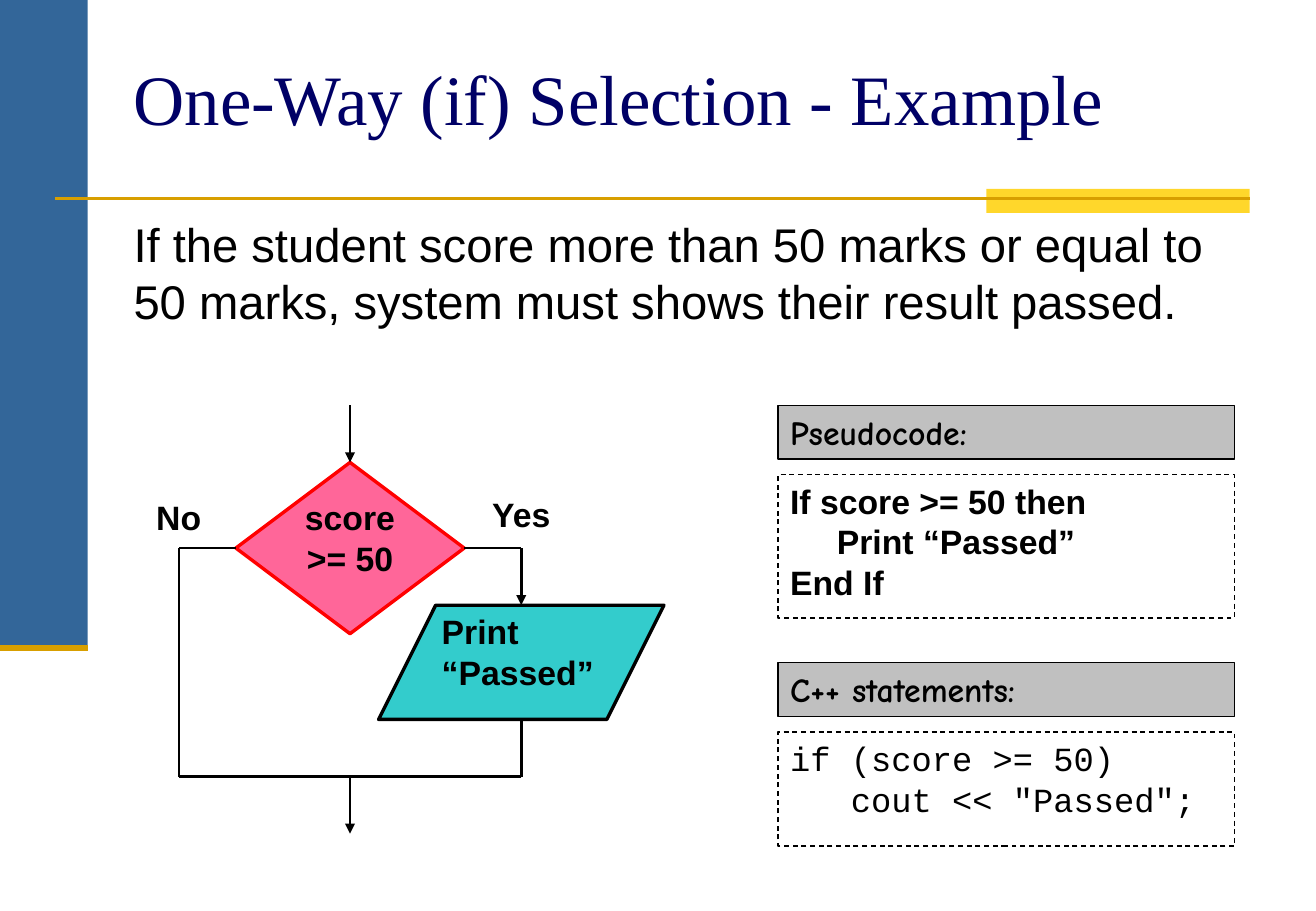
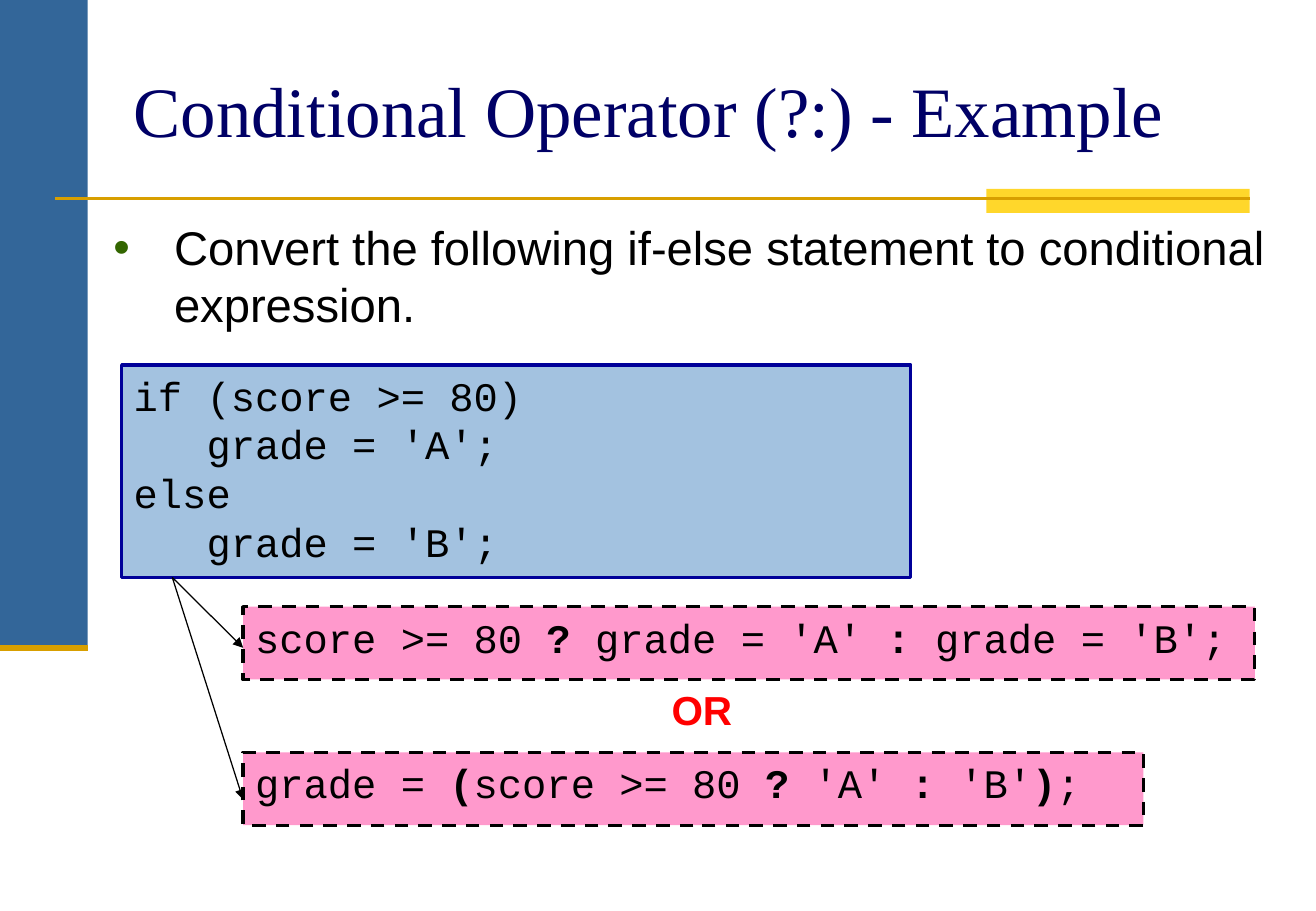
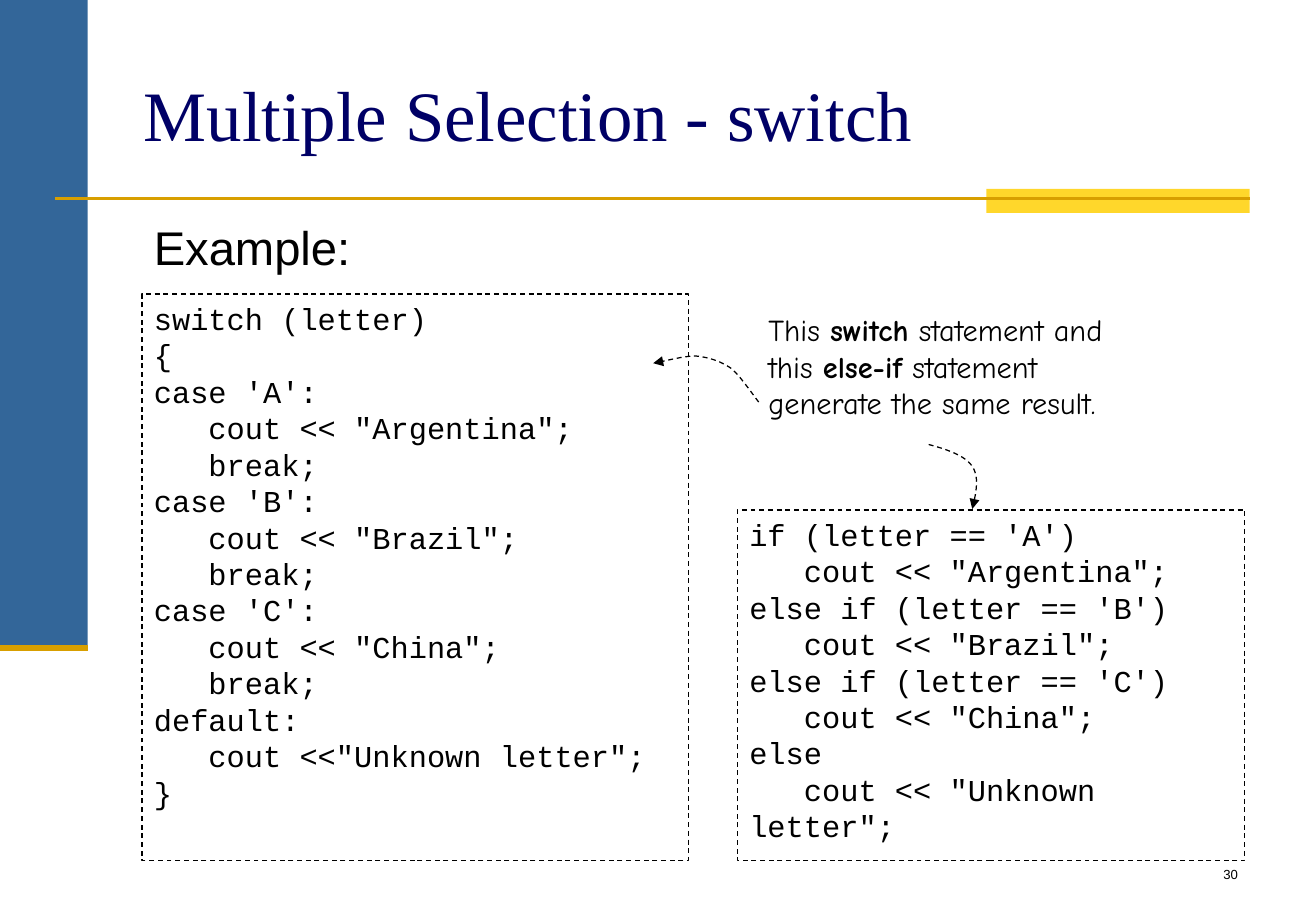
"""Build three slides about selection statements in C++."""
from dataclasses import dataclass
from typing import NamedTuple, Optional

from lxml.etree import SubElement
from pptx import Presentation
from pptx.dml.color import RGBColor
from pptx.enum.dml import MSO_LINE
from pptx.enum.shapes import MSO_CONNECTOR, MSO_SHAPE
from pptx.enum.text import MSO_ANCHOR, MSO_AUTO_SIZE, PP_ALIGN
from pptx.oxml.ns import qn
from pptx.util import Pt

BLACK, WHITE, RED = "000000", "FFFFFF", "FF0000"
BLUE, GOLD, YELLOW, NAVY = "336699", "D89F00", "FFD72B", "000066"
GRAY, ROSE, TEAL = "C0C0C0", "FF6699", "33CCCC"
SKY, DARK_BLUE, PINK, GREEN = "A3C2E0", "000099", "FF99CC", "336600"
SANS, SERIF, CODE, COMIC = "Arial", "Times New Roman", "Courier New", "Comic Neue"
LINE_FACTOR = 1.2
FLOW_LEFT, FLOW_TOP, FLOW_STEP = 72.2, 240.3, 33.85
BEZIER_STEPS = 12


class Box(NamedTuple):
    """Position and size in points."""
    left: float
    top: float
    width: float
    height: float


class Point(NamedTuple):
    """A place on the slide in points."""
    x: float
    y: float


@dataclass(frozen=True)
class Style:
    """Font and alignment of a text."""
    size: float
    font: str = SANS
    color: str = BLACK
    bold: bool = False
    align: PP_ALIGN = PP_ALIGN.LEFT


@dataclass(frozen=True)
class Outline:
    """Line colour, width and dash."""
    color: str = BLACK
    width: float = 0.75
    dashed: bool = False


@dataclass(frozen=True)
class Panel:
    """A filled shape that may hold text; bars in the text toggle bold."""
    box: Box
    fill: str
    outline: Optional[Outline] = None
    text: str = ""
    style: Style = Style(20)
    kind: MSO_SHAPE = MSO_SHAPE.RECTANGLE
    inset: Optional[float] = None


TITLE = Style(42, SERIF, NAVY)
BODY = Style(28)
LABEL = Style(20, bold=True, align=PP_ALIGN.CENTER)
STATEMENT = Style(20, bold=True)
HEADING = Style(20, COMIC, bold=True)
THIN, DASHED = Outline(), Outline(dashed=True)
FLOW, THICK_DASHED = Outline(width=1.5), Outline(width=2, dashed=True)

SWITCH_CODE = """switch (letter)
{
case 'A':
   cout << "Argentina";
   break;
case 'B':
   cout << "Brazil";
   break;
case 'C':
   cout << "China";
   break;
default:
   cout <<"Unknown letter";
}"""
ELSE_IF_CODE = """if (letter == 'A')
   cout << "Argentina";
else if (letter == 'B')
   cout << "Brazil";
else if (letter == 'C')
   cout << "China";
else
   cout << "Unknown letter";"""


def rgb(color: str) -> RGBColor:
    """Turn a hex string into a colour."""
    return RGBColor.from_string(color)


def place(shape, box: Box) -> None:
    """Move and size a shape."""
    shape.left, shape.top, shape.width, shape.height = map(Pt, box)


def add_run(paragraph, text: str, style: Style, bold: bool) -> None:
    """Add formatted text to a paragraph, breaking lines at vertical tabs."""
    for index, piece in enumerate(text.split("\v")):
        if index:
            paragraph.add_line_break()
        run = paragraph.add_run()
        run.text = piece
        run.font.name = style.font
        run.font.size = Pt(style.size)
        run.font.bold = bold
        run.font.color.rgb = rgb(style.color)


def write(text_frame, text: str, style: Style) -> None:
    """Write paragraphs and format their runs."""
    text_frame.word_wrap = True
    text_frame.auto_size = MSO_AUTO_SIZE.NONE
    text_frame.vertical_anchor = MSO_ANCHOR.TOP
    for index, line in enumerate(text.split("\n")):
        paragraph = text_frame.paragraphs[0] if index == 0 else text_frame.add_paragraph()
        paragraph.alignment = style.align
        paragraph.space_before = Pt(0)
        paragraph.line_spacing = Pt(LINE_FACTOR * style.size)
        for position, part in enumerate(line.split("|")):
            add_run(paragraph, part, style, style.bold or position % 2 == 1)


def draw_outline(line, outline: Outline) -> None:
    """Apply an outline to a line format."""
    line.color.rgb = rgb(outline.color)
    line.width = Pt(outline.width)
    if outline.dashed:
        line.dash_style = MSO_LINE.DASH


def add_arrowhead(line) -> None:
    """Put a triangle at the end of a line."""
    SubElement(line._get_or_add_ln(), qn("a:tailEnd"), type="triangle")


def add_panel(slide, panel: Panel):
    """Draw a panel and its text."""
    shape = slide.shapes.add_shape(panel.kind, *map(Pt, panel.box))
    shape.shadow.inherit = False
    shape.fill.solid()
    shape.fill.fore_color.rgb = rgb(panel.fill)
    if panel.outline:
        draw_outline(shape.line, panel.outline)
    else:
        shape.line.fill.background()
    if panel.text:
        frame = shape.text_frame
        if panel.inset is not None:
            frame.margin_left = frame.margin_right = Pt(panel.inset)
        write(frame, panel.text, panel.style)
    return shape


def add_label(slide, box: Box, text: str, style: Style) -> None:
    """Draw a text box."""
    write(slide.shapes.add_textbox(*map(Pt, box)).text_frame, text, style)


def add_line(slide, start: Point, end: Point, outline: Outline, arrow: bool = False):
    """Draw a straight line or arrow."""
    connector = slide.shapes.add_connector(MSO_CONNECTOR.STRAIGHT, *map(Pt, (*start, *end)))
    draw_outline(connector.line, outline)
    if arrow:
        add_arrowhead(connector.line)
    SubElement(connector._element.spPr, qn("a:effectLst"))
    return connector


def bezier(start: Point, first: Point, second: Point, end: Point) -> list[Point]:
    """Sample a cubic curve after its start."""
    points = []
    for step in range(1, BEZIER_STEPS + 1):
        t = step / BEZIER_STEPS
        weights = ((1 - t) ** 3, 3 * t * (1 - t) ** 2, 3 * t * t * (1 - t), t ** 3)
        corners = (start, first, second, end)
        points.append(Point(sum(w * c.x for w, c in zip(weights, corners)),
                            sum(w * c.y for w, c in zip(weights, corners))))
    return points


def add_curved_arrow(slide, knots: list[Point]) -> None:
    """Draw a dashed arrow through joined cubic curves."""
    points = []
    for index in range(0, len(knots) - 1, 3):
        points += bezier(*knots[index:index + 4])
    builder = slide.shapes.build_freeform(Pt(knots[0].x), Pt(knots[0].y))
    builder.add_line_segments([(Pt(x), Pt(y)) for x, y in points], close=False)
    shape = builder.convert_to_shape()
    shape.shadow.inherit = False
    shape.fill.background()
    draw_outline(shape.line, DASHED)
    add_arrowhead(shape.line)


def set_bullet(paragraph, indent: float = 0, color: str = "") -> None:
    """Give a paragraph a coloured bullet, or none."""
    properties = paragraph._p.get_or_add_pPr()
    properties.set("marL", str(Pt(indent)))
    properties.set("indent", str(-Pt(indent)))
    if color:
        SubElement(SubElement(properties, qn("a:buClr")), qn("a:srgbClr"), val=color)
        SubElement(properties, qn("a:buChar"), char="•")
    else:
        SubElement(properties, qn("a:buNone"))


def add_slide(presentation, title: str, title_box: Box, body: str, body_box: Box,
              indent: float = 0, bullet: str = ""):
    """Add a slide with its title and body text."""
    slide = presentation.slides.add_slide(presentation.slide_layouts[1])
    title_shape, body_shape = slide.placeholders
    place(title_shape, title_box)
    write(title_shape.text_frame, title, TITLE)
    place(body_shape, body_box)
    set_bullet(body_shape.text_frame.paragraphs[0], indent, bullet)
    write(body_shape.text_frame, body, BODY)
    return slide


def decorate_master(presentation, slide) -> None:
    """Draw the shared bands and move them to the slide master."""
    bands = (
        add_panel(slide, Panel(Box(0, 0, 52, 384), BLUE)),
        add_panel(slide, Panel(Box(585, 111.9, 156.2, 14.4), YELLOW)),
        add_line(slide, Point(32.5, 117.6), Point(741.2, 117.6), Outline(GOLD, 1.5)),
        add_line(slide, Point(0, 384.2), Point(52, 384.2), Outline(GOLD, 3.5)),
    )
    for number, band in enumerate(bands, start=101):
        band._element.xpath(".//p:cNvPr")[0].set("id", str(number))
        presentation.slide_master.shapes._spTree.append(band._element)


def flow_point(column: float, row: float) -> Point:
    """Find a place on the flowchart grid."""
    return Point(FLOW_LEFT + column * FLOW_STEP, FLOW_TOP + row * FLOW_STEP)


def flow_box(column: float, row: float, columns: float, rows: float) -> Box:
    """Find an area on the flowchart grid."""
    return Box(*flow_point(column, row), columns * FLOW_STEP, rows * FLOW_STEP)


def add_flowchart(slide) -> None:
    """Draw the one-way selection flowchart."""
    add_panel(slide, Panel(flow_box(2, 1, 4, 3), ROSE, Outline(RED, 2),
                           kind=MSO_SHAPE.FLOWCHART_DECISION))
    add_label(slide, flow_box(2, 1.5, 4, 2), "score\v>= 50", LABEL)
    lines = (
        ((2, 2.5), (1, 2.5), False),
        ((7, 2.5), (6, 2.5), False),
        ((7, 2.5), (7, 3.5), True),
        ((1, 2.5), (1, 6.5), False),
        ((7, 5.5), (7, 6.5), False),
        ((7, 6.5), (1, 6.5), False),
        ((4, 6.5), (4, 7.5), True),
        ((4, 0), (4, 1), True),
    )
    for start, end, arrow in lines:
        add_line(slide, flow_point(*start), flow_point(*end), FLOW, arrow)
    add_label(slide, flow_box(6, 1.45, 2, 0.9), "Yes", LABEL)
    add_label(slide, flow_box(0, 1.5, 2, 0.9), "No", LABEL)
    add_panel(slide, Panel(flow_box(4.5, 3.5, 5, 2), TEAL, Outline(width=2),
                           "Print\n“Passed”", STATEMENT,
                           MSO_SHAPE.FLOWCHART_DATA, inset=3.6))


def build_one_way(presentation) -> None:
    """Build the one-way selection slide."""
    slide = add_slide(presentation, "One-Way (if) Selection - Example",
                      Box(72, 28.8, 663, 90),
                      "If the student score more than 50 marks or equal to 50 marks, "
                      "system must shows their result passed.", Box(72, 124.2, 678, 90))
    decorate_master(presentation, slide)
    add_flowchart(slide)
    sections = (
        (240.4, 85, "Pseudocode:", "If score >= 50 then\n     Print “Passed”\nEnd If",
         STATEMENT),
        (392.9, 67.7, "C++ statements:",
         'if (score >= 50)\n   cout << "Passed";', Style(20, CODE)),
    )
    for top, height, heading, text, style in sections:
        add_panel(slide, Panel(Box(461.5, top, 270.7, 31.7), GRAY, THIN, heading, HEADING))
        add_panel(slide, Panel(Box(461.5, top + 41, 270.7, height), WHITE, DASHED, text, style))


def build_conditional(presentation) -> None:
    """Build the conditional operator slide."""
    slide = add_slide(presentation, "Conditional Operator (?:) - Example",
                      Box(72, 36, 663, 90),
                      "Convert the following if-else statement to conditional expression.",
                      Box(60, 126, 720, 84), 36, GREEN)
    code = Style(24, CODE)
    add_panel(slide, Panel(Box(72.2, 216.3, 468, 126), SKY, Outline(DARK_BLUE, 2),
                           "if (score >= 80)\n   grade = 'A';\nelse\n   grade = 'B';", code))
    expressions = (
        (359.6, 600, 384, "score >= 80 |?| grade = 'A' |:| grade = 'B';"),
        (446, 534, 474, "grade = |(|score >= 80 |?| 'A' |:| 'B'|)|;"),
    )
    for top, width, arrow_end, text in expressions:
        add_panel(slide, Panel(Box(144.2, top, width, 43.2), PINK, THICK_DASHED, text, code))
        add_line(slide, Point(102.2, 342.3), Point(144.2, arrow_end), THIN, arrow=True)
    add_label(slide, Box(391.2, 402.3, 57.6, 36), "OR", Style(24, color=RED, bold=True))


def build_switch(presentation) -> None:
    """Build the switch slide."""
    slide = add_slide(presentation, "Multiple Selection - switch", Box(78, 38.5, 663, 72),
                      "Example:", Box(84, 126, 654, 41))
    code = Style(18, CODE)
    add_panel(slide, Panel(Box(84.2, 174.3, 324, 336), WHITE, DASHED, SWITCH_CODE, code))
    add_panel(slide, Panel(Box(437.3, 302.3, 301, 208), WHITE, DASHED, ELSE_IF_CODE, code))
    add_label(slide, Box(448.6, 181, 235.5, 72),
              "This |switch| statement and this |else-if| statement "
              "generate the same result.", Style(18, COMIC))
    add_curved_arrow(slide, [Point(450, 238.3), Point(447, 234.7), Point(439, 222.5),
                             Point(433.4, 218.2), Point(427, 213.8), Point(419.8, 211.7),
                             Point(412.6, 211), Point(404.6, 211), Point(392.4, 214.6),
                             Point(387.4, 215.3)])
    add_curved_arrow(slide, [Point(550.8, 263.5), Point(561.6, 266.4), Point(572.4, 270),
                             Point(576.7, 276.5), Point(581, 283), Point(578.9, 292.3),
                             Point(576.7, 301.7)])
    add_label(slide, Box(578.3, 510, 163, 18), "30", Style(7.8, align=PP_ALIGN.RIGHT))


def main() -> None:
    """Build and save the presentation."""
    presentation = Presentation()
    presentation.slide_width = Pt(780.48)
    presentation.slide_height = Pt(540)
    presentation.element.sldSz.attrib.pop("type", None)
    build_one_way(presentation)
    build_conditional(presentation)
    build_switch(presentation)
    presentation.save("out.pptx")


if __name__ == "__main__":
    main()
